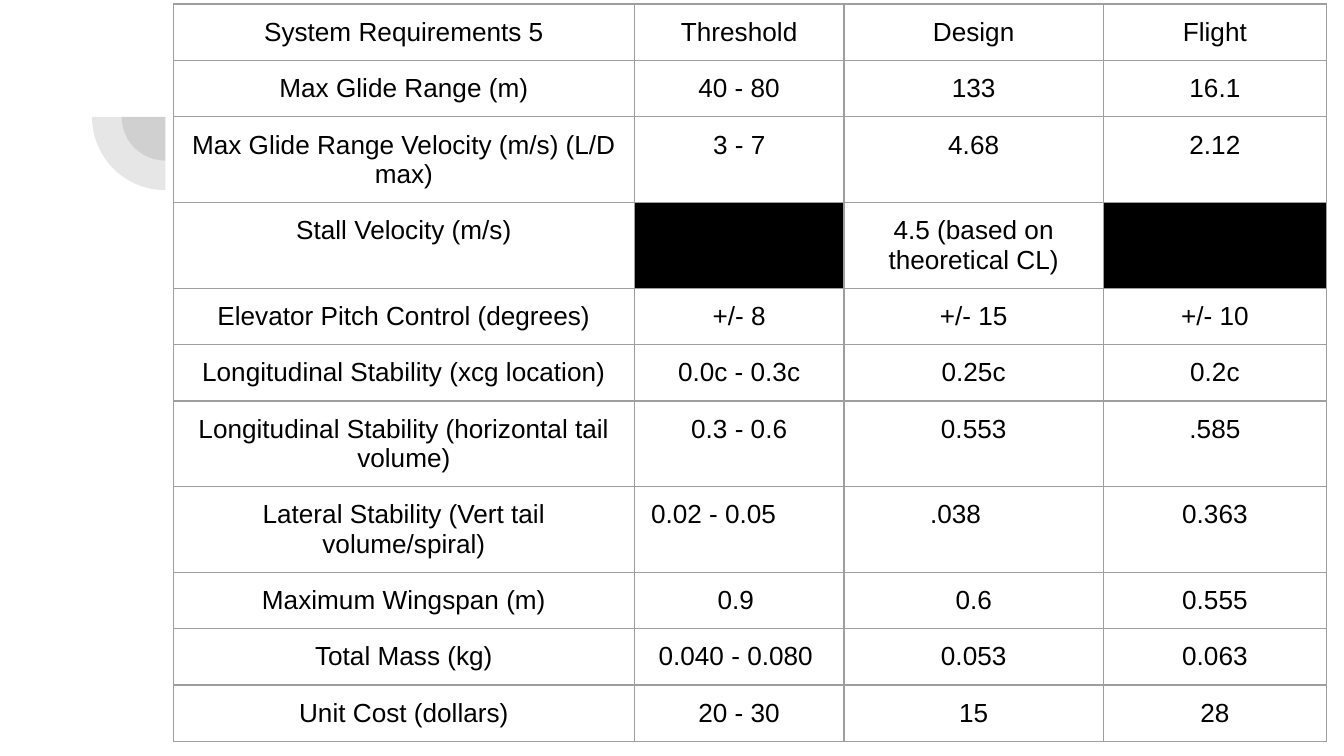
from lxml import etree
from pptx import Presentation, util as u
from pptx.dml.color import RGBColor
from pptx.enum import shapes, text
from pptx.oxml import ns

THEME = {"font": "Arial", "size": 14, "ink": "000000", "border": "9E9E9E",
         "border_pt": 0.75, "arc": "424242", "arc_alpha": 13}

REQUIREMENTS = [
    ("System Requirements 5", "Threshold", "Design", "Flight"),
    ("Max Glide Range (m)", "40 - 80", "133", "16.1"),
    ("Max Glide Range Velocity (m/s) (L/D max)", "3 - 7", "4.68", "2.12"),
    ("Stall Velocity (m/s)", None, "4.5 (based on theoretical CL)", None),
    ("Elevator Pitch Control (degrees)", "+/- 8", "+/- 15", "+/- 10"),
    ("Longitudinal Stability (xcg location)", "0.0c - 0.3c", "0.25c", "0.2c"),
    ("Longitudinal Stability (horizontal tail volume)", "0.3 - 0.6", "0.553", ".585"),
    ("Lateral Stability (Vert tail volume/spiral)", "0.02 - 0.05", ".038", "0.363"),
    ("Maximum Wingspan (m)", "0.9", "0.6", "0.555"),
    ("Total Mass (kg)", "0.040 - 0.080", "0.053", "0.063"),
    ("Unit Cost (dollars)", "20 - 30", "15", "28"),
]
SLIDE_WIDTH = 10
SLIDE_HEIGHT = SLIDE_WIDTH * 9 / 16
COLUMN_WIDTHS = [3.43, 1.56, 1.93, 1.66]
ROW_HEIGHT = 0.42
TABLE_LEFT, TABLE_TOP = 1.29, 0.03
MARGIN = 0.1
EXTRA_RIGHT = {(7, 1): 0.38, (7, 2): 0.27, (8, 1): 0.05, (9, 1): 0.05}
ARC_CENTER = (1.23, 0.87)
ARC_DIAMETERS = [0.65, 1.09]


def color(name):
    return RGBColor.from_string(THEME[name])


def add_arc(s, diameter):
    left, top = (u.Inches(c - diameter / 2) for c in ARC_CENTER)
    sp = s.shapes.add_shape(shapes.MSO_SHAPE.PIE, left, top,
                            u.Inches(diameter), u.Inches(diameter))
    sp.adjustments[0], sp.adjustments[1] = 108, 162
    sp.rotation = 270
    sp.shadow.inherit = False
    sp.line.fill.background()
    sp.fill.solid()
    sp.fill.fore_color.rgb = color("arc")
    clr = sp.fill._xPr.find(ns.qn("a:solidFill"))[0]
    etree.SubElement(clr, ns.qn("a:alpha"), val=str(THEME["arc_alpha"] * 1000))


def add_borders(cell):
    tc_pr = cell._tc.get_or_add_tcPr()
    for side in ("lnL", "lnR", "lnT", "lnB"):
        ln = etree.SubElement(tc_pr, ns.qn(f"a:{side}"), w=str(u.Pt(THEME["border_pt"])))
        fill = etree.SubElement(ln, ns.qn("a:solidFill"))
        etree.SubElement(fill, ns.qn("a:srgbClr"), val=THEME["border"])


def fill_cell(cell, value, extra_right):
    margins = {"margin_left": MARGIN, "margin_right": MARGIN + extra_right,
               "margin_top": MARGIN, "margin_bottom": MARGIN}
    for name, inches in margins.items():
        setattr(cell, name, u.Inches(inches))
    add_borders(cell)
    if value is None:
        cell.fill.solid()
        cell.fill.fore_color.rgb = color("ink")
        return
    cell.fill.background()
    p = cell.text_frame.paragraphs[0]
    p.alignment = text.PP_ALIGN.CENTER
    r = p.add_run()
    r.text = value
    for name, setting in {"name": THEME["font"], "size": u.Pt(THEME["size"])}.items():
        setattr(r.font, name, setting)
    r.font.color.rgb = color("ink")


def add_requirements(s):
    table = s.shapes.add_table(
        len(REQUIREMENTS), len(COLUMN_WIDTHS), u.Inches(TABLE_LEFT), u.Inches(TABLE_TOP),
        u.Inches(sum(COLUMN_WIDTHS)), u.Inches(ROW_HEIGHT * len(REQUIREMENTS))).table
    table.first_row = table.horz_banding = False
    for column, width in zip(table.columns, COLUMN_WIDTHS):
        column.width = u.Inches(width)
    for i, values in enumerate(REQUIREMENTS):
        table.rows[i].height = u.Inches(ROW_HEIGHT)
        for j, value in enumerate(values):
            fill_cell(table.cell(i, j), value, EXTRA_RIGHT.get((i, j), 0))


def main():
    prs = Presentation()
    prs.slide_width, prs.slide_height = u.Inches(SLIDE_WIDTH), u.Inches(SLIDE_HEIGHT)
    s = prs.slides.add_slide(prs.slide_layouts[6])
    for diameter in ARC_DIAMETERS:
        add_arc(s, diameter)
    add_requirements(s)
    prs.save("out.pptx")


if __name__ == "__main__":
    main()
